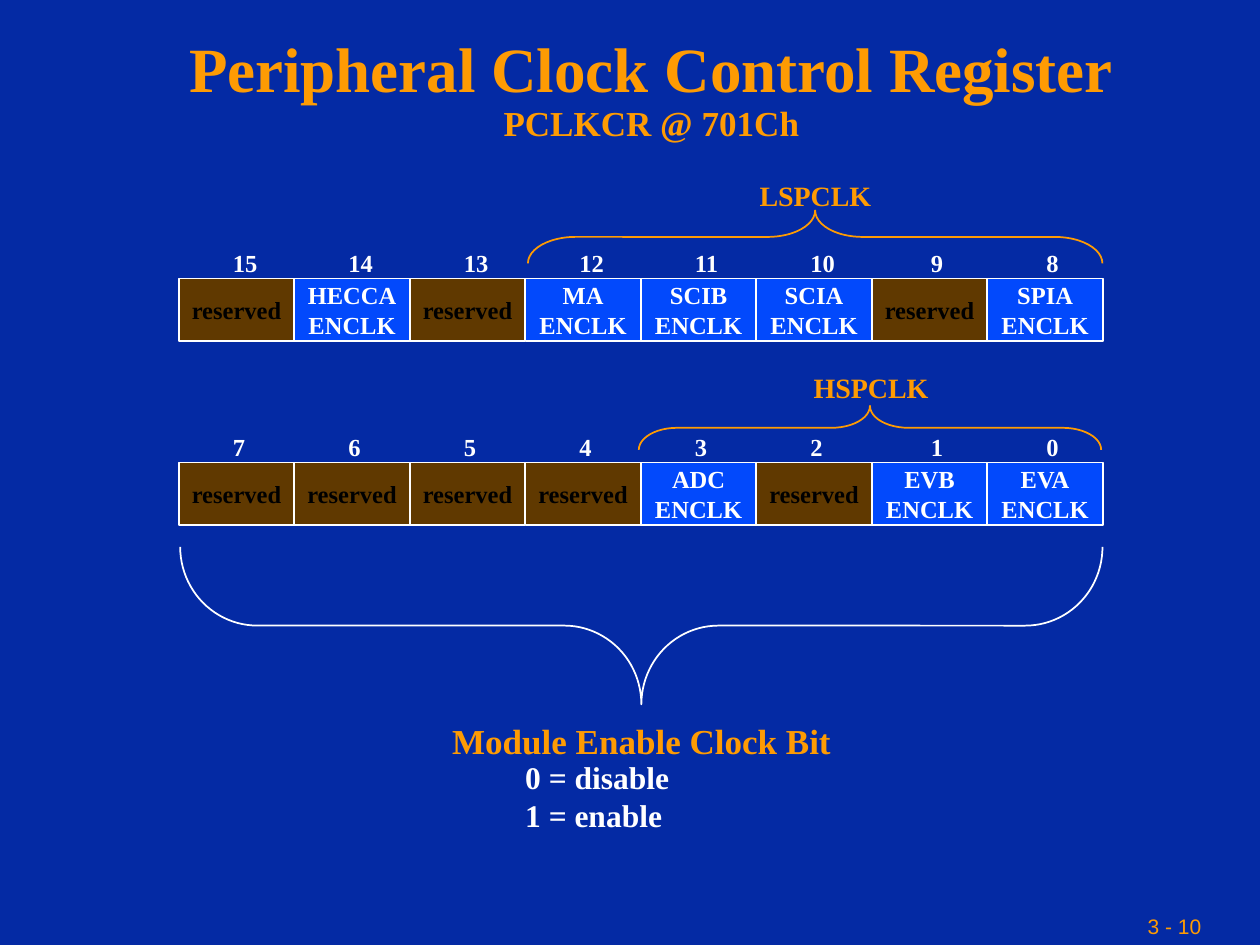
from dataclasses import dataclass

from pptx import Presentation
from pptx.dml.color import RGBColor
from pptx.enum.shapes import MSO_SHAPE
from pptx.enum.text import MSO_ANCHOR, MSO_AUTO_SIZE, PP_ALIGN
from pptx.util import Inches, Pt

RECT, BRACE = MSO_SHAPE.RECTANGLE, MSO_SHAPE.RIGHT_BRACE
LEFT, CENTER = PP_ALIGN.LEFT, PP_ALIGN.CENTER
MIDDLE = MSO_ANCHOR.MIDDLE
GROW = MSO_AUTO_SIZE.SHAPE_TO_FIT_TEXT


@dataclass(frozen=True)
class Theme:
    background: str = "042AA4"
    accent: str = "FE9B03"
    light: str = "FFFFFF"
    dark: str = "000000"
    enabled: str = "0249FC"
    reserved: str = "603900"
    serif: str = "Times New Roman"
    sans: str = "Arial"
    title: int = 36
    heading: int = 20
    body: int = 18
    clock: int = 16
    bit: int = 14
    footer: int = 12


T = Theme()

CELL_W, CELL_H, ROW_LEFT = 11 / 12, 0.5, 1.42
RESERVED = "reserved"
# top of the row, highest bit, modules from the highest bit down
ROWS = [
    (2.21, 15, [RESERVED, "HECCA", RESERVED, "MA", "SCIB", "SCIA", RESERVED, "SPIA"]),
    (3.67, 7, [RESERVED] * 4 + ["ADC", RESERVED, "EVB", "EVA"]),
]


def rgb(value):
    return RGBColor.from_string(value)


def style_text(tf, size, color, align=LEFT, font=T.serif, bold=True):
    for p in tf.paragraphs:
        p.alignment = align
        for r in p.runs:
            r.font.name = font
            r.font.size = Pt(size)
            r.font.bold = bold
            r.font.color.rgb = rgb(color)


def add_label(s, box, text, size, color, spacing=None, **style):
    """Add a one-piece text box that does not wrap."""
    tf = s.shapes.add_textbox(*map(Inches, box)).text_frame
    tf.word_wrap = False
    tf.auto_size = GROW
    tf.text = text
    style_text(tf, size, color, **style)
    if spacing:
        tf.paragraphs[0].line_spacing = spacing


def add_title(s, title, subtitle):
    tf = s.shapes.add_textbox(Inches(0.92), Inches(0.25), Inches(8.5), Inches(1.25)).text_frame
    tf.word_wrap = True
    p = tf.paragraphs[0]
    p.text = f"{title}\v{subtitle}"
    p.line_spacing = 0.9
    style_text(tf, T.title, T.accent, CENTER)
    p.runs[1].font.size = Pt(T.heading)


def add_cell(s, left, top, module):
    is_reserved = module == RESERVED
    sp = s.shapes.add_shape(RECT, Inches(left), Inches(top), Inches(CELL_W), Inches(CELL_H))
    sp.shadow.inherit = False
    sp.fill.solid()
    sp.fill.fore_color.rgb = rgb(T.reserved if is_reserved else T.enabled)
    sp.line.color.rgb = rgb(T.light)
    sp.line.width = Pt(1)
    tf = sp.text_frame
    tf.word_wrap = False
    tf.vertical_anchor = MIDDLE
    tf.text = module if is_reserved else f"{module}\nENCLK"
    style_text(tf, T.bit, T.dark if is_reserved else T.light, CENTER)


def add_register_row(s, top, high_bit, modules):
    for i, module in enumerate(modules):
        left = ROW_LEFT + i * CELL_W
        bit = str(high_bit - i)
        indent = 0.33 if i < 6 else 0.37  # the last two numbers sit further right
        add_cell(s, left, top, module)
        add_label(s, (left + indent, top - 0.29, 0.22 + 0.1 * len(bit), 0.34),
                  bit, T.bit, T.light)


def add_brace(s, left, top, width, height, color, curve, rotation):
    """Add a horizontal brace; the box is given as seen after rotation."""
    x, y = left + (width - height) / 2, top + (height - width) / 2
    sp = s.shapes.add_shape(BRACE, Inches(x), Inches(y), Inches(height), Inches(width))
    sp.rotation = rotation
    sp.adjustments[0] = curve
    sp.shadow.inherit = False
    sp.fill.background()
    sp.line.color.rgb = rgb(color)
    sp.line.width = Pt(1)


def main():
    prs = Presentation()
    prs.slide_width, prs.slide_height = Inches(10), Inches(7.5)
    s = prs.slides.add_slide(prs.slide_layouts[6])
    s.background.fill.solid()
    s.background.fill.fore_color.rgb = rgb(T.background)

    add_label(s, (9.01, 7.2, 1.2, 0.3), "3 - 10", T.footer, T.accent,
              font=T.sans, bold=False)
    add_title(s, "Peripheral Clock Control Register", "PCLKCR @ 701Ch")
    for row in ROWS:
        add_register_row(s, *row)

    add_brace(s, 4.19, 1.67, 4.56, 0.42, T.accent, 0.9, 270)
    add_brace(s, 5.07, 3.22, 3.67, 0.35, T.accent, 0.87, 270)
    add_brace(s, 1.43, 4.34, 7.32, 1.25, T.light, 0.49, 90)
    add_label(s, (5.93, 1.42, 1.12, 0.32), "LSPCLK", T.clock, T.accent, spacing=0.8)
    add_label(s, (6.36, 2.94, 1.14, 0.32), "HSPCLK", T.clock, T.accent, spacing=0.8)

    add_label(s, (3.49, 5.66, 3.21, 0.44), "Module Enable Clock Bit", T.heading, T.accent)
    add_label(s, (4.07, 5.97, 1.36, 0.7), "0 = disable\n1 = enable", T.body, T.light)
    prs.save("out.pptx")


if __name__ == "__main__":
    main()
